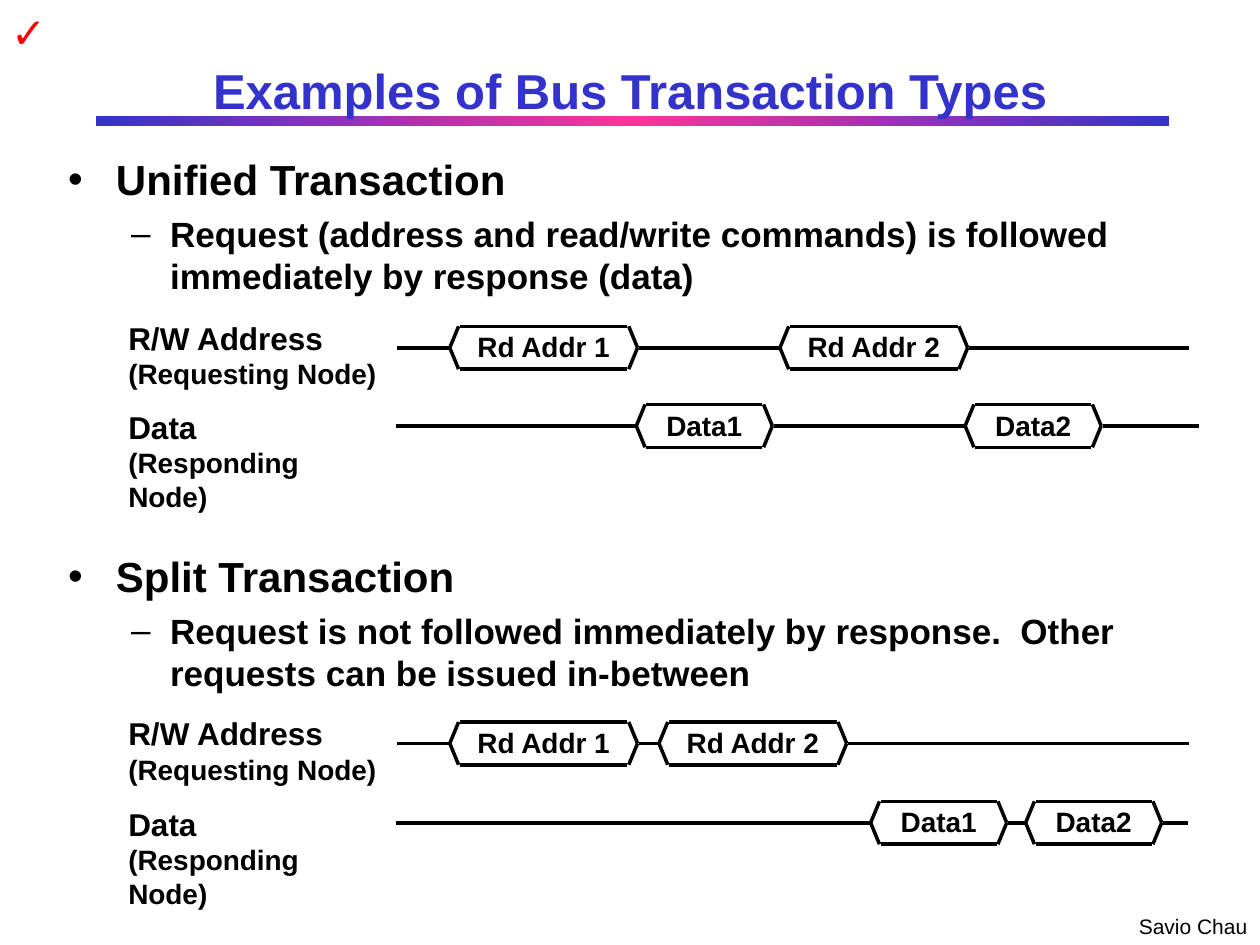
from lxml import etree
from pptx import Presentation
from pptx.dml.color import RGBColor
from pptx.enum.shapes import MSO_CONNECTOR as Connector, MSO_SHAPE as Shape
from pptx.enum.text import MSO_ANCHOR as Anchor, MSO_AUTO_SIZE as AutoSize, PP_ALIGN as Align
from pptx.oxml import parse_xml
from pptx.oxml.ns import nsdecls, qn
from pptx.util import Inches, Pt

BLACK = RGBColor(0, 0, 0)
BLUE = RGBColor(0x33, 0x33, 0xCC)
PINK = RGBColor(0xFF, 0x33, 0x99)
RED = RGBColor(0xFF, 0, 0)

presentation = Presentation()
presentation.slide_width = Inches(10)
presentation.slide_height = Inches(7.5)
slide = presentation.slides.add_slide(presentation.slide_layouts[1])
shapes = slide.shapes


def write(paragraph, text, size=16, color=BLACK, bold=True, align=Align.LEFT, before=0):
    paragraph.text = text
    paragraph.alignment = align
    paragraph.space_before = Pt(before)
    font = paragraph.font
    font.name = "Arial"
    font.size = Pt(size)
    font.bold = bold
    font.color.rgb = color


def add_line(start_x, start_y, end_x, end_y):
    points = [Inches(value) for value in (start_x, start_y, end_x, end_y)]
    line = shapes.add_connector(Connector.STRAIGHT, *points)
    line.line.color.rgb = BLACK
    line.line.width = Pt(2)
    etree.SubElement(line._element.spPr, qn("a:effectLst"))


bar = shapes.add_shape(Shape.RECTANGLE, Inches(0.76), Inches(0.92), Inches(8.52), Inches(0.08))
bar.shadow.inherit = False
bar.line.fill.background()
stops = "".join(
    f'<a:gs pos="{position}"><a:srgbClr val="{color}"/></a:gs>'
    for position, color in ((0, BLUE), (50000, PINK), (100000, BLUE))
)
gradient = parse_xml(
    f'<a:gradFill {nsdecls("a")}><a:gsLst>{stops}</a:gsLst><a:lin ang="10800000"/></a:gradFill>'
)
bar._element.spPr.find(qn("a:prstGeom")).addnext(gradient)
shapes._spTree.insert(2, bar._element)

title = shapes.title
title.left, title.top, title.width, title.height = (Inches(v) for v in (0.75, 0.42, 8.5, 0.58))
title.text_frame.auto_size = AutoSize.NONE
title.text_frame.vertical_anchor = Anchor.MIDDLE
write(title.text_frame.paragraphs[0], "Examples of Bus Transaction Types",
      size=28, color=BLUE, align=Align.CENTER)

body = slide.placeholders[1]
body.left, body.top, body.width, body.height = (Inches(v) for v in (0.44, 1.17, 9.19, 5.9))
body_frame = body.text_frame
body_frame.auto_size = AutoSize.NONE
outline = [
    ("Unified Transaction", 0, 0),
    ("Request (address and read/write commands) is followed immediately by response (data)", 1, 5),
    ("Split Transaction", 0, 145),
    ("Request is not followed immediately by response.  Other requests can be issued in-between", 1, 5),
]
for index, (text, level, before) in enumerate(outline):
    paragraph = body_frame.add_paragraph() if index else body_frame.paragraphs[0]
    paragraph.level = level
    properties = paragraph._p.get_or_add_pPr()
    properties.set("marL", str(Inches((0.38, 0.81)[level])))
    properties.set("indent", str(Inches((-0.38, -0.31)[level])))
    bullet = etree.SubElement(properties, qn("a:buChar"))
    bullet.set("char", "•–"[level])
    write(paragraph, text, size=(24, 20)[level], before=before)

labels = [
    (0.92, 2.48, 2.17, 0.66, [("R/W Address", 18), ("(Requesting Node)", 16)]),
    (0.92, 3.19, 2.24, 0.66, [("Data", 18), ("(Responding Node)", 16)]),
    (0.92, 5.62, 2.17, 0.66, [("R/W Address", 18), ("(Requesting Node)", 16)]),
    (0.92, 6.34, 2.24, 0.66, [("Data", 18), ("(Responding Node)", 16)]),
]
for left, top, width, height, lines in labels:
    box = shapes.add_textbox(Inches(left), Inches(top), Inches(width), Inches(height))
    box.text_frame.word_wrap = False
    for index, (text, size) in enumerate(lines):
        paragraph = box.text_frame.add_paragraph() if index else box.text_frame.paragraphs[0]
        write(paragraph, text, size=size)

ADDRESS_WIDTH, DATA_WIDTH = 1.49, 1.08
signals = [
    (2.76, 3.15, 9.44, ADDRESS_WIDTH, [("Rd Addr 1", 3.57), ("Rd Addr 2", 6.19)]),
    (3.38, 3.14, 9.52, DATA_WIDTH, [("Data1", 5.05), ("Data2", 7.66)]),
    (5.9, 3.15, 9.44, ADDRESS_WIDTH, [("Rd Addr 1", 3.57), ("Rd Addr 2", 5.23)]),
    (6.53, 3.14, 9.43, DATA_WIDTH, [("Data1", 6.91), ("Data2", 8.14)]),
]
for middle, start, end, width, pulses in signals:
    for text, left in pulses:
        right = left + width
        add_line(start, middle, left, middle)
        for edge in (middle - 0.17, middle + 0.17):
            add_line(left, middle, left + 0.07, edge)
            add_line(left + 0.08, edge, right - 0.08, edge)
            add_line(right - 0.07, edge, right, middle)
        box = shapes.add_textbox(Inches(left + 0.11), Inches(middle - 0.19),
                                 Inches(width - 0.22), Inches(0.36))
        box.text_frame.word_wrap = False
        write(box.text_frame.paragraphs[0], text, align=Align.CENTER)
        start = right + 0.01
    add_line(start, middle, end, middle)

corners = [
    ("Savio Chau", 8.94, 7.2, 1.06, 0.3, 12, BLACK, False),
    ("✓", -0.01, 0, 0.47, 0.5, 24, RED, True),
]
for text, left, top, width, height, size, color, bold in corners:
    box = shapes.add_textbox(Inches(left), Inches(top), Inches(width), Inches(height))
    box.text_frame.word_wrap = False
    write(box.text_frame.paragraphs[0], text, size=size, color=color, bold=bold)

presentation.save("out.pptx")
